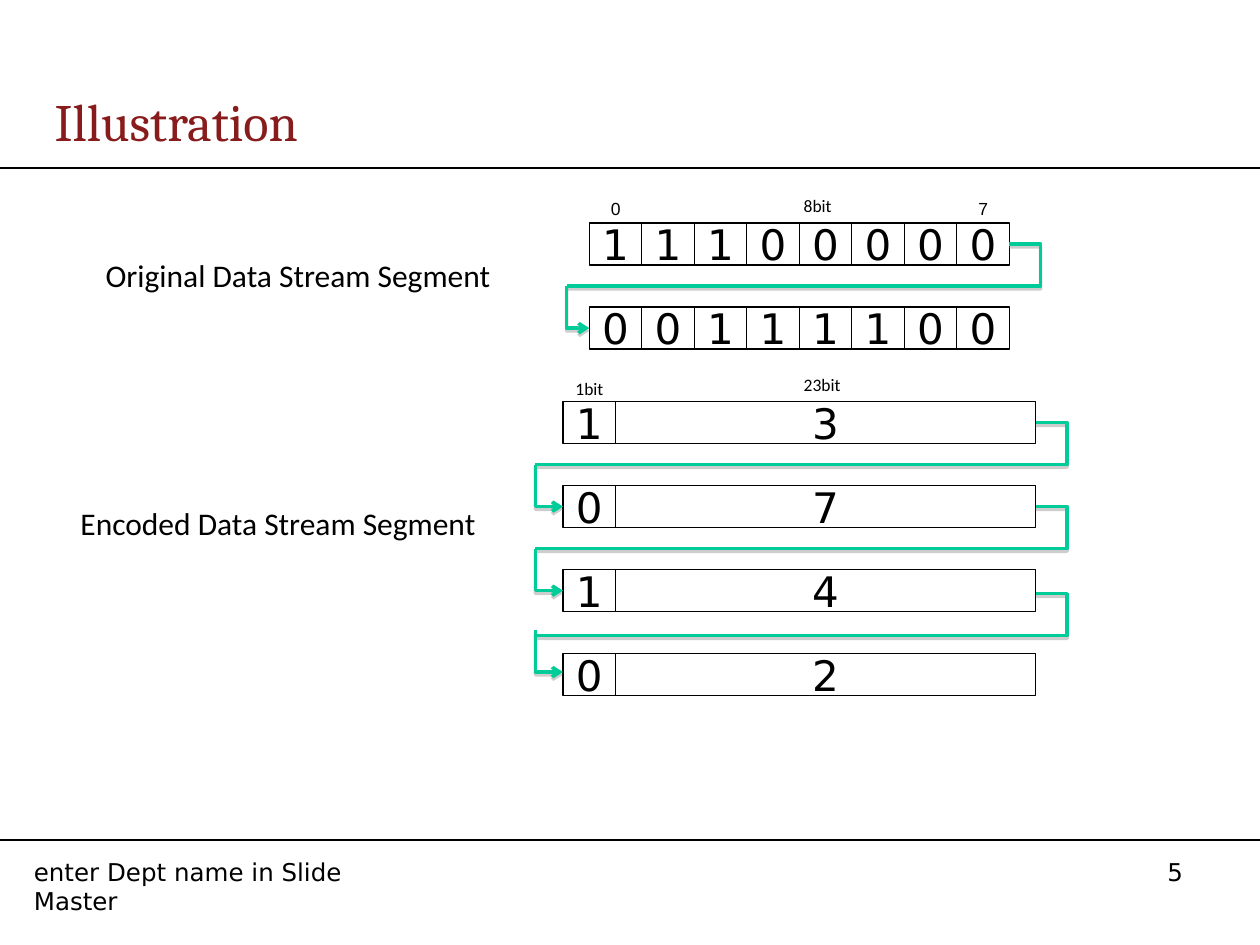
from lxml import etree
from pptx import Presentation
from pptx import util as u
from pptx.dml.color import RGBColor
from pptx.enum import shapes, text
from pptx.oxml.ns import qn

Pt = u.Pt
C = {"black": "000000", "title": "881C1C", "link": "00CC99", "shadow": "808080"}

prs = Presentation()
prs.slide_width, prs.slide_height = Pt(720), Pt(540)
s = prs.slides.add_slide(prs.slide_layouts[5])


def write(sp, words, size, font, color="black", align=text.PP_ALIGN.LEFT):
    p = sp.text_frame.paragraphs[0]
    p.alignment = align
    r = p.add_run()
    r.text = words
    r.font.size, r.font.name = Pt(size), font
    r.font.color.rgb = RGBColor.from_string(C[color])


def connect(kind, x1, y1, x2, y2, color="black", width=1, shadow=False):
    cn = s.shapes.add_connector(kind, Pt(x1), Pt(y1), Pt(x2), Pt(y2))
    cn.line.color.rgb = RGBColor.from_string(C[color])
    cn.line.width = Pt(width)
    effects = etree.SubElement(cn._element.spPr, qn("a:effectLst"))
    if shadow:
        outer = etree.SubElement(effects, qn("a:outerShdw"), blurRad="0",
                                 dist=str(Pt(1.6)), dir="5400000", rotWithShape="0")
        clr = etree.SubElement(outer, qn("a:srgbClr"), val=C["shadow"])
        etree.SubElement(clr, qn("a:alpha"), val="38000")
    return cn


for y in (96, 480):
    connect(shapes.MSO_CONNECTOR.STRAIGHT, 0, y, 720, y)

title = s.shapes.title
title.left, title.top, title.width, title.height = Pt(24), Pt(48), Pt(696), Pt(42)
title.text_frame.vertical_anchor = text.MSO_ANCHOR.MIDDLE
write(title, "Illustration", 30, "Cambria", "title")

labels = [
    ("enter Dept name in Slide Master", 12.25, 486, 242.5, 24.5, 14, "DejaVu Sans"),
    ("5", 660, 486, 48, 24.5, 14, "DejaVu Sans"),
    ("Original Data Stream Segment", 53.3, 142.75, 237, 29, 18, "Calibri"),
    ("Encoded Data Stream Segment", 38.9, 284.25, 242.6, 29, 18, "Calibri"),
    ("8bit", 452.2, 108, 31, 19.4, 10, "Calibri"),
    ("23bit", 452.2, 210.25, 36, 19.4, 10, "Calibri"),
    ("1bit", 321.75, 212.5, 31, 19.4, 10, "Calibri"),
    ("0", 342, 109.5, 20, 19.4, 10, "Arial"),
    ("7", 552, 109.5, 20, 19.4, 10, "Arial"),
]
for words, x, y, w, h, size, font in labels:
    sp = s.shapes.add_textbox(Pt(x), Pt(y), Pt(w), Pt(h))
    sp.text_frame.word_wrap = False
    write(sp, words, size, font)

ROW_STEP, CELL_W, CELL_H = 48, 30, 24
cells = []
for row, bits in enumerate(("11100000", "00111100")):
    for col, bit in enumerate(bits):
        cells.append((bit, 336.75 + col * CELL_W, 127.5 + row * ROW_STEP, CELL_W))
for row, (bit, count) in enumerate(("13", "07", "14", "02")):
    y = 229.5 + row * ROW_STEP
    cells += [(bit, 321.75, y, CELL_W), (count, 351.75, y, 8 * CELL_W)]

for digit, x, y, w in cells:
    sp = s.shapes.add_shape(shapes.MSO_SHAPE.RECTANGLE, Pt(x), Pt(y), Pt(w), Pt(CELL_H))
    sp.shadow.inherit = False
    sp.fill.background()
    sp.line.color.rgb = RGBColor.from_string(C["black"])
    sp.line.width = Pt(0.75)
    tf = sp.text_frame
    tf.margin_left = tf.margin_right = tf.margin_top = tf.margin_bottom = 0
    tf.vertical_anchor = text.MSO_ANCHOR.MIDDLE
    write(sp, digit, 24, "DejaVu Sans", align=text.PP_ALIGN.CENTER)

links = [
    (576.75, 139.5, 323.75, 163.5, 336.75, -7100),
    (591.75, 241.5, 306, 265.5, 321.75, -6300),
    (591.75, 289.5, 306, 313.5, 321.75, -6300),
    (591.75, 339.25, 306, 360, 321.75, -6300),
]
for right, y, left, arrow_y, tip, bend in links:
    cn = connect(shapes.MSO_CONNECTOR.ELBOW, right, y, left, y + CELL_H, "link", 2, True)
    guides = cn._element.spPr.find(qn("a:prstGeom")).get_or_add_avLst()
    etree.SubElement(guides, qn("a:gd"), name="adj1", fmla=f"val {bend}")

    run, drop = tip - left, CELL_H
    mid_x, mid_y = left + run / 2, arrow_y + drop / 2
    cn = connect(shapes.MSO_CONNECTOR.ELBOW, mid_x + drop / 2, mid_y - run / 2,
                 mid_x - drop / 2, mid_y + run / 2, "link", 2, True)
    cn._element.spPr.find(qn("a:prstGeom")).set("prst", "bentConnector2")
    cn._element.spPr.find(qn("a:xfrm")).set("rot", "16200000")
    etree.SubElement(cn.line._get_or_add_ln(), qn("a:tailEnd"), type="arrow")

prs.save("out.pptx")
